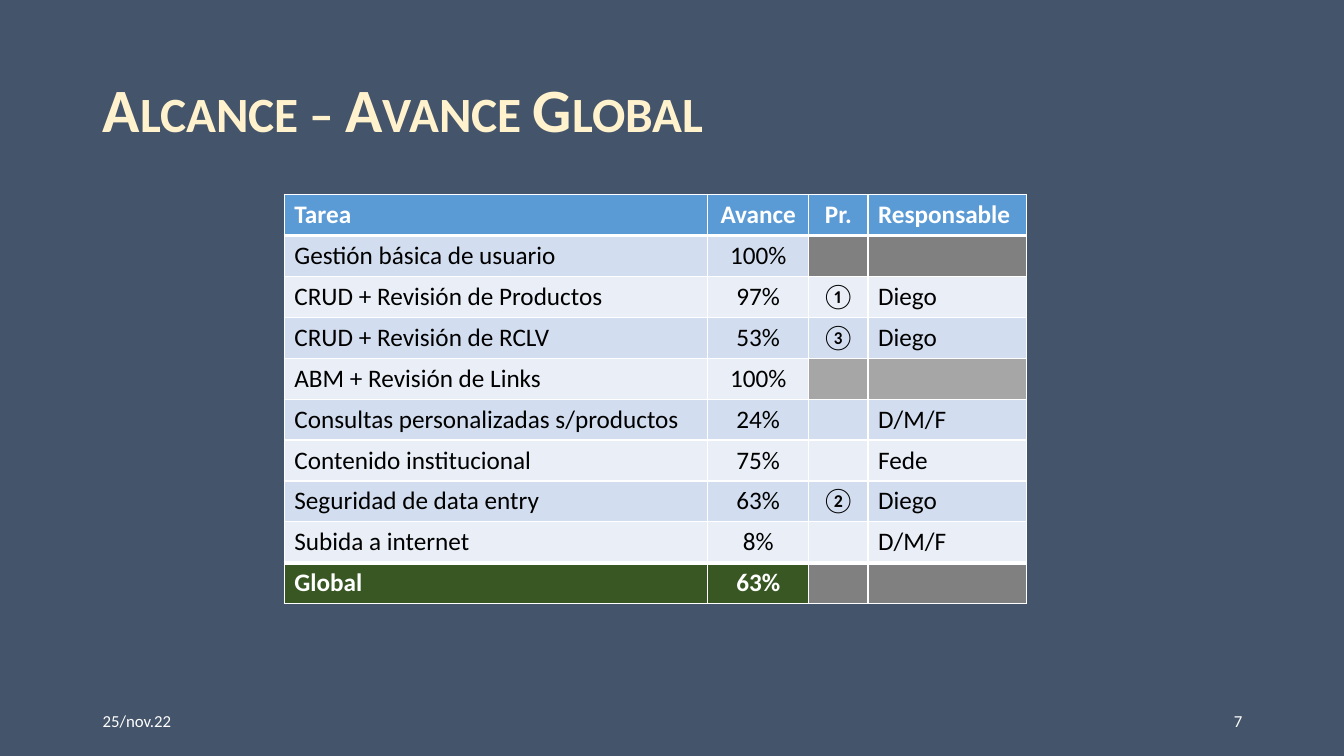
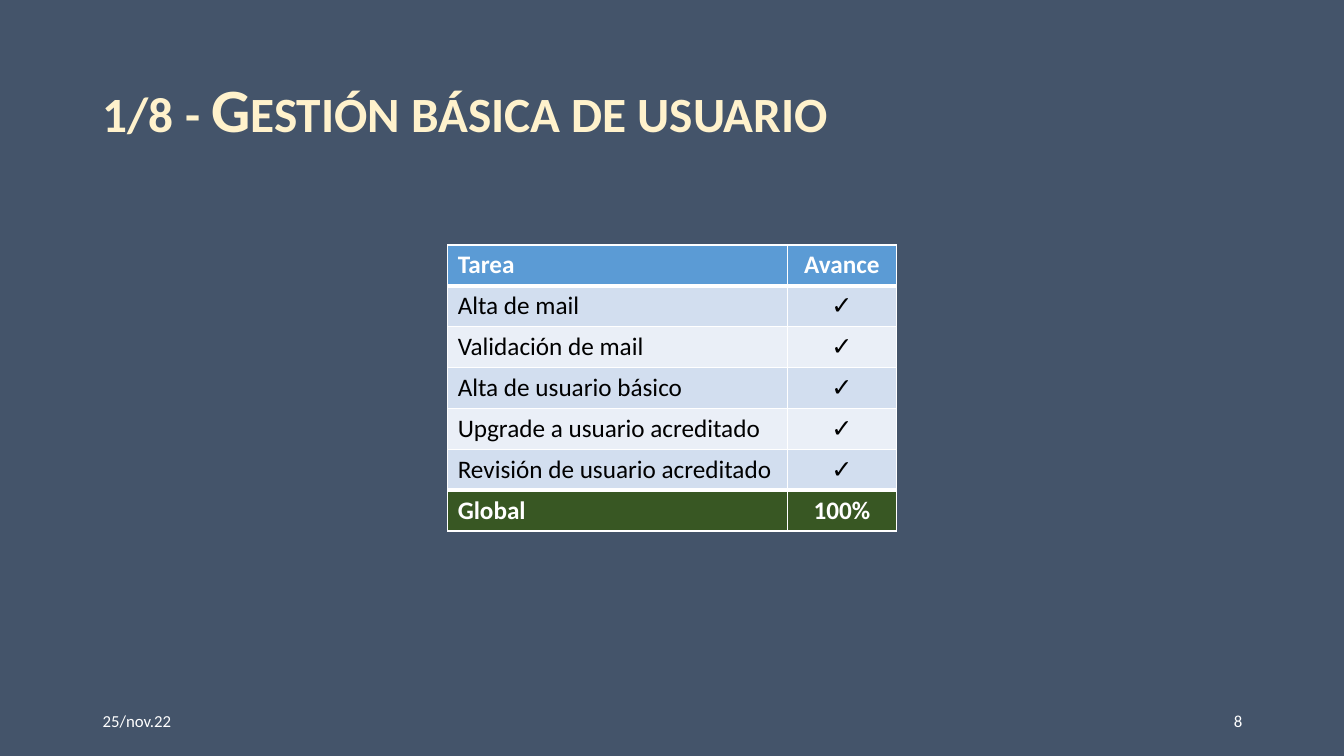
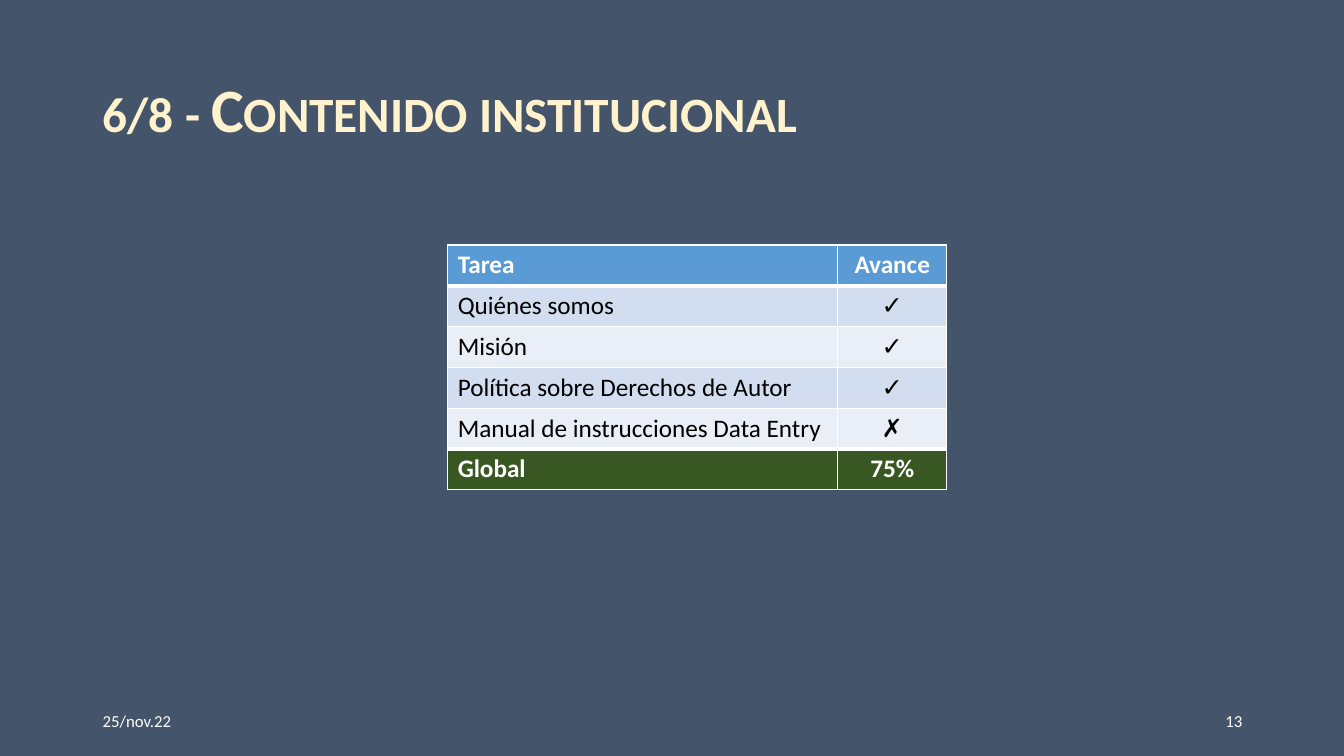
from lxml.etree import SubElement
from pptx import Presentation
from pptx.dml.color import RGBColor
from pptx.enum.text import MSO_ANCHOR as Anchor, PP_ALIGN as Align
from pptx.oxml.ns import qn
from pptx.util import Inches, Pt

# Shared style
FONT = "Calibri"
BACKGROUND = "44546A"
CREAM, WHITE, BLACK = "FFF2CC", "FFFFFF", "000000"
HEADER_FILL, TOTAL_FILL = "5B9BD5", "385723"
BAND_FILLS = ("EAEFF7", "D2DEEF")  # even rows, odd rows
BLOCKED_FILLS = ("A6A6A6", "808080")
BLOCKED = None
DATE = "25/nov.22"
DONE, PENDING = "✓", "✗"
TITLE_ONLY = 5


def color(value):
    return RGBColor.from_string(value)


class Report:
    def __init__(self):
        self.deck = Presentation()
        self.deck.slide_width = Inches(13.33)
        self.deck.slide_height = Inches(7.5)
        fill = self.deck.slide_master.background.fill
        fill.solid()
        fill.fore_color.rgb = color(BACKGROUND)
        self.page = None

    def add_page(self, title, number):
        self.page = self.deck.slides.add_slide(self.deck.slide_layouts[TITLE_ONLY])
        self.title(title)
        self.footer(DATE, 0.92, Align.LEFT)
        self.footer(str(number), 9.42, Align.RIGHT)

    def set_text(self, para, text, size, shade, bold=False, align=Align.LEFT):
        para.text = text
        para.alignment = align
        for span in para.runs:
            span.font.name = FONT
            span.font.size = Pt(size)
            span.font.bold = bold
            span.font.color.rgb = color(shade)

    def title(self, text):
        box = self.page.shapes.title
        box.left, box.top = Inches(0.92), Inches(0.74)
        box.width, box.height = Inches(11.5), Inches(0.77)
        box.text_frame.vertical_anchor = Anchor.TOP
        para = box.text_frame.paragraphs[0]
        self.set_text(para, text, 44, CREAM, bold=True)
        para.line_spacing = 0.9
        para.runs[0].font._element.set("cap", "small")

    def footer(self, text, left, align):
        box = self.page.shapes.add_textbox(
            Inches(left), Inches(6.95), Inches(3), Inches(0.4))
        box.text_frame.word_wrap = True
        box.text_frame.vertical_anchor = Anchor.MIDDLE
        self.set_text(box.text_frame.paragraphs[0], text, 12, WHITE, align=align)

    def borders(self, cell, top, bottom):
        properties = cell._tc.get_or_add_tcPr()
        for side, width in (("L", 1), ("R", 1), ("T", top), ("B", bottom)):
            line = SubElement(properties, qn(f"a:ln{side}"), w=str(Pt(width)))
            fill = SubElement(line, qn("a:solidFill"))
            SubElement(fill, qn("a:srgbClr"), val=WHITE)

    def table(self, left, top, height, widths, rows, centered):
        last = len(rows) - 1
        table = self.page.shapes.add_table(
            len(rows), len(widths), Inches(left), Inches(top),
            Inches(sum(widths)), Inches(height)).table
        table.horz_banding = False
        for column, width in zip(table.columns, widths):
            column.width = Inches(width)

        for r, row in enumerate(rows):
            strong = r in (0, last)
            row_fill = {0: HEADER_FILL, last: TOTAL_FILL}.get(r, BAND_FILLS[r % 2])
            for c, text in enumerate(row):
                cell = table.cell(r, c)
                # Heavier lines below the header and above the total
                self.borders(cell, top=3 if r in (1, last) else 1,
                             bottom=3 if r in (0, last - 1) else 1)
                cell.fill.solid()
                cell.fill.fore_color.rgb = color(
                    BLOCKED_FILLS[r % 2] if text is BLOCKED else row_fill)
                self.set_text(cell.text_frame.paragraphs[0], text or "", 18,
                              WHITE if strong else BLACK, strong,
                              Align.CENTER if c in centered else Align.LEFT)

    def checklist(self, task_width, height, tasks, total):
        rows = [("Tarea", "Avance"), *tasks, ("Global", total)]
        self.table(4.44, 2.43, height, (task_width, 1.08), rows, centered={1})


report = Report()

# Overall progress
report.add_page("Alcance – Avance Global", 7)
report.table(2.82, 1.93, 4.06, (4.2, 1, 0.59, 1.57), [
    ("Tarea", "Avance", "Pr.", "Responsable"),
    ("Gestión básica de usuario", "100%", BLOCKED, BLOCKED),
    ("CRUD + Revisión de Productos", "97%", "①", "Diego"),
    ("CRUD + Revisión de RCLV", "53%", "③", "Diego"),
    ("ABM + Revisión de Links", "100%", BLOCKED, BLOCKED),
    ("Consultas personalizadas s/productos", "24%", "", "D/M/F"),
    ("Contenido institucional", "75%", "", "Fede"),
    ("Seguridad de data entry", "63%", "②", "Diego"),
    ("Subida a internet", "8%", "", "D/M/F"),
    ("Global", "63%", BLOCKED, BLOCKED),
], centered={1, 2})

# Basic user management
report.add_page("1/8 - Gestión básica de usuario", 8)
report.checklist(3.37, 2.84, [
    ("Alta de mail", DONE),
    ("Validación de mail", DONE),
    ("Alta de usuario básico", DONE),
    ("Upgrade a usuario acreditado", DONE),
    ("Revisión de usuario acreditado", DONE),
], "100%")

# Institutional content
report.add_page("6/8 - Contenido institucional", 13)
report.checklist(3.87, 2.43, [
    ("Quiénes somos", DONE),
    ("Misión", DONE),
    ("Política sobre Derechos de Autor", DONE),
    ("Manual de instrucciones Data Entry", PENDING),
], "75%")

report.deck.save("out.pptx")
